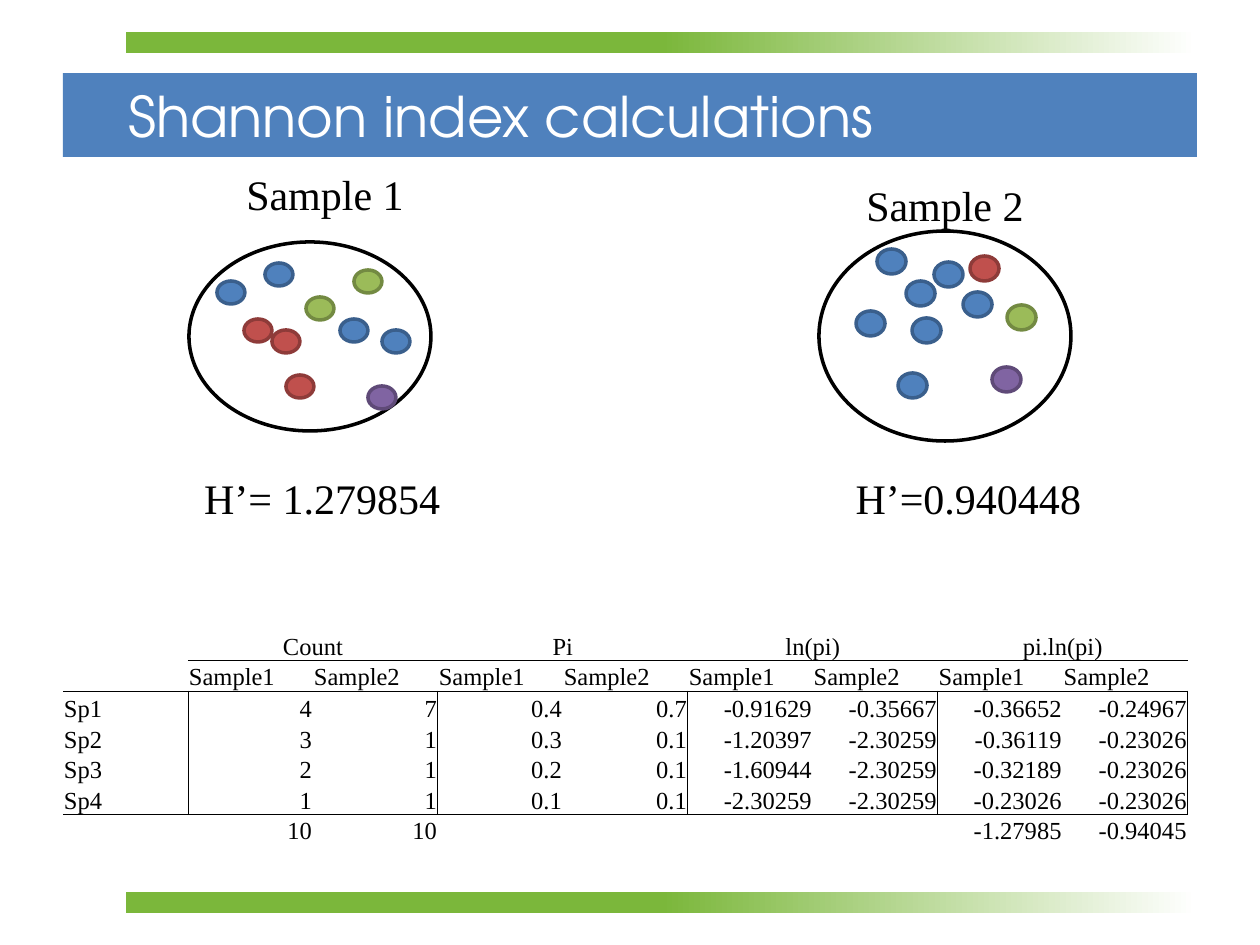
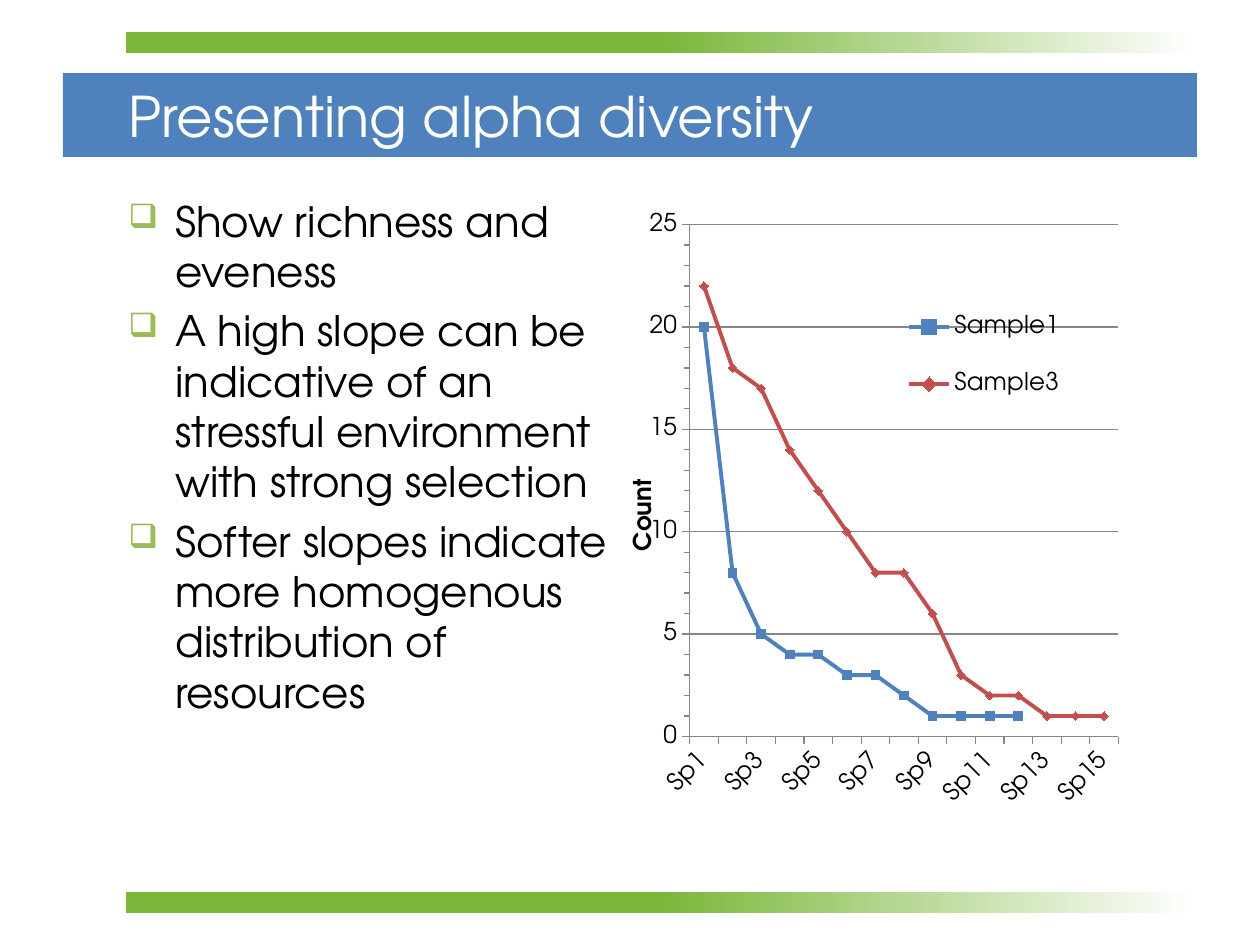
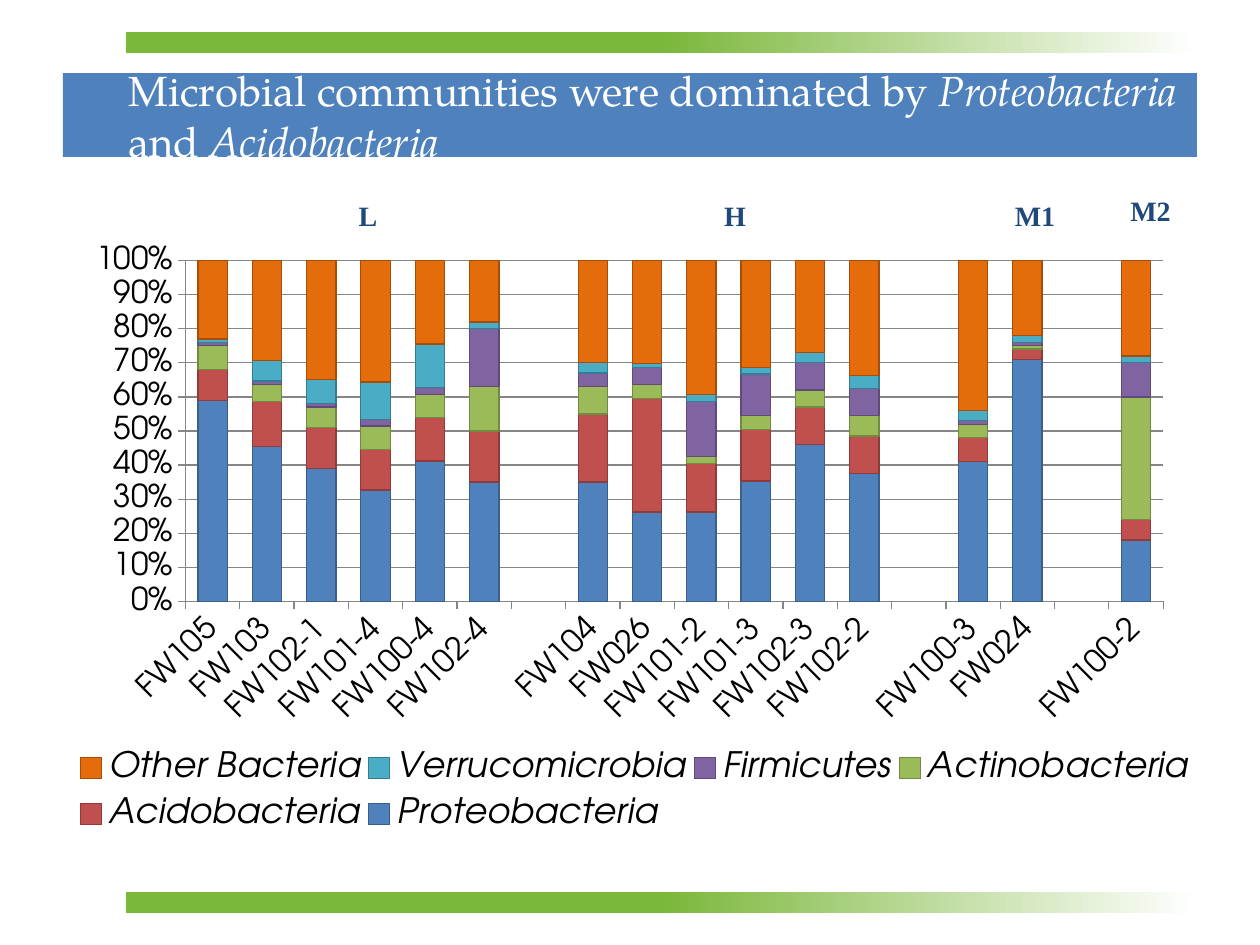
from lxml import etree
from pptx import Presentation
from pptx.chart.data import CategoryChartData
from pptx.dml.color import RGBColor
from pptx.enum.chart import (XL_CHART_TYPE as CHART, XL_LEGEND_POSITION as LEGEND,
                             XL_MARKER_STYLE as MARKER, XL_TICK_MARK as TICK)
from pptx.enum.shapes import MSO_SHAPE as SHAPE
from pptx.enum.text import MSO_ANCHOR as ANCHOR, PP_ALIGN as ALIGN
from pptx.oxml import parse_xml
from pptx.oxml.ns import nsdecls, qn
from pptx.util import Emu, Pt

PX = 914400 / 126
SANS, PALLADIAN, SERIF = "TeX Gyre Adventor", "TeX Gyre Pagella", "Times New Roman"
BLACK, WHITE, NAVY, GREEN, GRID = "000000", "FFFFFF", "1F497D", "7BB73B", "868686"
# fill and outline of each species or group
BLUE, RED = ("4F81BD", "3A5F8C"), ("C0504D", "8E3B39")
LIME, PURPLE = ("9BBB59", "738A42"), ("8064A2", "5F4A78")
TEAL, ORANGE = ("4BACC6", "357D91"), ("E46C0A", "A64D09")

# Slide 1: bounds of each community, dot size, and dots by species
COMMUNITIES = [
    ((189, 242, 242, 189), (28, 23), [
        (BLUE, [(265, 263), (382, 330), (217, 281), (340, 319)]),
        (LIME, [(306, 297), (354, 270)]),
        (PURPLE, [(368, 386)]),
        (RED, [(286, 375), (244, 319), (272, 330)])]),
    ((819, 231, 252, 210), (29, 25), [
        (BLUE, [(877, 249), (963, 292), (912, 318), (898, 373),
                (856, 311), (906, 281), (934, 262)]),
        (PURPLE, [(992, 367)]),
        (LIME, [(1007, 305)]),
        (RED, [(970, 256)])]),
]
CAPTIONS = [
    ("H’= 1.279854", 189, 472, 252, ALIGN.RIGHT),
    ("H’=0.940448", 809, 472, 273, ALIGN.RIGHT),
    ("Sample 1", 199, 168, 252, ALIGN.CENTER),
    ("Sample 2", 819, 179, 252, ALIGN.CENTER),
]
INDEX_ROWS = [
    ["", "Count", "", "Pi", "", "ln(pi)", "", "pi.ln(pi)", ""],
    [""] + ["Sample1", "Sample2"] * 4,
    ["Sp1", "4", "7", "0.4", "0.7", "-0.91629", "-0.35667", "-0.36652", "-0.24967"],
    ["Sp2", "3", "1", "0.3", "0.1", "-1.20397", "-2.30259", "-0.36119", "-0.23026"],
    ["Sp3", "2", "1", "0.2", "0.1", "-1.60944", "-2.30259", "-0.32189", "-0.23026"],
    ["Sp4", "1", "1", "0.1", "0.1", "-2.30259", "-2.30259", "-0.23026", "-0.23026"],
    ["", "10", "10", "", "", "", "", "-1.27985", "-0.94045"],
]

# Slide 2
POINTS = [
    "Show richness and eveness",
    "A high slope can be indicative of an stressful environment with strong selection",
    "Softer slopes indicate more homogenous distribution of resources",
]
SPECIES = [f"Sp{n}" for n in range(1, 16)]
RANKS = [
    ("Sample1", BLUE, MARKER.SQUARE, [20, 8, 5, 4, 4, 3, 3, 2, 1, 1, 1, 1, None, None, None]),
    ("Sample3", RED, MARKER.DIAMOND, [22, 18, 17, 14, 12, 10, 8, 8, 6, 3, 2, 2, 1, 1, 1]),
]

# Slide 3: wells fall into sites, with an empty column between sites
SITES = [
    ("L", (347, 199, 42, 32)), ("H", (714, 199, 42, 32)),
    ("M1", (977, 199, 116, 32)), ("M2", (1103, 189, 95, 42)),
]
WELLS = ["FW105", "FW103", "FW102-1", "FW101-4", "FW100-4", "FW102-4", "",
         "FW104", "FW026", "FW101-2", "FW101-3", "FW102-3", "FW102-2", "",
         "FW100-3", "FW024", "", "FW100-2"]
PHYLA = [
    ("Proteobacteria", BLUE, [59, 45, 39, 33, 42, 35, None, 35, 26, 26, 35, 46, 38, None, 41, 71, None, 18]),
    ("Acidobacteria", RED, [9, 13, 12, 12, 13, 15, None, 20, 33, 14, 15, 11, 11, None, 7, 3, None, 6]),
    ("Actinobacteria", LIME, [7, 5, 6, 7, 7, 13, None, 8, 4, 2, 4, 5, 6, None, 4, 1, None, 36]),
    ("Firmicutes", PURPLE, [1, 1, 1, 2, 2, 17, None, 4, 5, 16, 12, 8, 8, None, 1, 1, None, 10]),
    ("Verrucomicrobia", TEAL, [1, 6, 7, 11, 13, 2, None, 3, 1, 2, 2, 3, 4, None, 3, 2, None, 2]),
    ("Other Bacteria", ORANGE, [23, 29, 35, 36, 25, 18, None, 30, 30, 39, 31, 27, 34, None, 44, 22, None, 28]),
]


def px(*lengths):
    return [Emu(round(n * PX)) for n in lengths]


def rgb(color):
    return RGBColor.from_string(color)


def set_font(font, size, name, color=BLACK, bold=False, italic=False):
    font.size, font.name, font.bold, font.italic = Pt(size), name, bold, italic
    font.color.rgb = rgb(color)


def add_filled(slide, kind, box, fill, line=None):
    sp = slide.shapes.add_shape(kind, *px(*box))
    sp.shadow.inherit = False
    sp.fill.solid()
    sp.fill.fore_color.rgb = rgb(fill)
    if line:
        sp.line.color.rgb = rgb(line)
        sp.line.width = Pt(2)
    else:
        sp.line.fill.background()
    return sp


def add_text_box(slide, box, anchor):
    tf = slide.shapes.add_textbox(*px(*box)).text_frame
    tf.word_wrap = True
    tf.vertical_anchor = anchor
    return tf


def add_frame(prs, title, size=32, font=SANS):
    """Add a slide with its bands and a title given as (text, italic) runs."""
    slide = prs.slides.add_slide(prs.slide_layouts[6])
    add_filled(slide, SHAPE.RECTANGLE, (63, 73, 1134, 84), BLUE[0])
    for top in (32, 892):
        band = add_filled(slide, SHAPE.RECTANGLE, (126, top, 1071, 21), GREEN)
        band.fill.gradient()
        band.fill.gradient_angle = 0
        for stop, (position, color) in zip(band.fill.gradient_stops, [(0.5, GREEN), (1, WHITE)]):
            stop.position = position
            stop.color.rgb = rgb(color)
    p = add_text_box(slide, (116, 73, 1081, 84), ANCHOR.MIDDLE).paragraphs[0]
    for text, italic in title:
        r = p.add_run()
        r.text = text
        set_font(r.font, size, font, WHITE, italic=italic)
    return slide


def add_plain_table(slide, left, top, col_width, heights, n_cols):
    width = col_width * n_cols
    table = slide.shapes.add_table(len(heights), n_cols,
                                   *px(left, top, width, sum(heights))).table
    table.first_row = table.horz_banding = False
    for column in table.columns:
        column.width = px(col_width)[0]
    for row, height in zip(table.rows, heights):
        row.height = px(height)[0]
    return table


def fill_cell(cell, text, size, align, edges=""):
    """Write a cell; edges holds the letters of the sides (L, R, T, B) that get a line."""
    cell.margin_left, cell.margin_right, cell.margin_top, cell.margin_bottom = px(1, 1, 1, 0)
    cell.vertical_anchor = ANCHOR.BOTTOM
    cell.fill.background()
    p = cell.text_frame.paragraphs[0]
    p.alignment = align
    if text:
        p.text = text
        set_font(p.runs[0].font, size, SERIF)
    else:
        p._p.get_or_add_endParaRPr().set("sz", str(size * 100))
    tc_pr = cell._tc.get_or_add_tcPr()
    for i, side in enumerate("LRTB"):
        paint = (f'<a:solidFill><a:srgbClr val="{BLACK}"/></a:solidFill>'
                 if side in edges else "<a:noFill/>")
        tc_pr.insert(i, parse_xml(f'<a:ln{side} {nsdecls("a")} w="6350">{paint}</a:ln{side}>'))


def add_index_table(slide):
    table = add_plain_table(slide, 63, 630, 125, [26, 26, 32, 26, 26, 26, 26], 9)

    def line_below(r, c):
        return r in (1, 5) or (r == 0 and c > 0)

    def line_right(r, c):
        return 2 <= r <= 5 and c in (0, 2, 4, 6, 8)

    for r, row in enumerate(INDEX_ROWS):
        for c, text in enumerate(row):
            edges = "".join(side for side, drawn in [
                ("L", line_right(r, c - 1)), ("R", line_right(r, c)),
                ("T", line_below(r - 1, c)), ("B", line_below(r, c))] if drawn)
            align = ALIGN.CENTER if r == 0 else ALIGN.LEFT if r == 1 or c == 0 else ALIGN.RIGHT
            fill_cell(table.cell(r, c), text, 14, align, edges)
    for c in range(1, 9, 2):
        table.cell(0, c).merge(table.cell(0, c + 1))


def place(element, index, **fractions):
    """Give a chart part a manual layout in fractions of the chart."""
    for old in element.findall(qn("c:layout")):
        element.remove(old)
    layout = parse_xml(f'<c:layout {nsdecls("c")}><c:manualLayout/></c:layout>')
    values = {"xMode": "edge", "yMode": "edge", **fractions}
    if index == 0:
        values = {"layoutTarget": "inner", **values}
    for name, value in values.items():
        etree.SubElement(layout[0], qn(f"c:{name}")).set("val", str(value))
    element.insert(index, layout)


def add_styled_chart(slide, kind, box, categories, series, size, plot_area, legend_area):
    data = CategoryChartData()
    data.categories = categories
    for name, *_, values in series:
        data.add_series(name, values)
    chart = slide.shapes.add_chart(kind, *px(*box), data).chart
    set_font(chart.font, size, SANS)
    chart.has_title = False
    chart.has_legend = True
    chart.legend.position = LEGEND.RIGHT
    chart.legend.include_in_layout = False
    chart.plots[0].vary_by_categories = False
    value_axis = chart.value_axis
    value_axis.has_major_gridlines = True
    for fmt in (value_axis.format, chart.category_axis.format, value_axis.major_gridlines.format):
        fmt.line.color.rgb = rgb(GRID)
        fmt.line.width = Pt(0.75)
    for axis in (value_axis, chart.category_axis):
        axis.major_tick_mark = TICK.OUTSIDE
        set_font(axis.tick_labels.font, size, SANS)
    chart.category_axis._element.find(qn("c:txPr")).find(qn("a:bodyPr")).set("rot", "-2700000")
    place(chart._chartSpace.chart.plotArea, 0, **plot_area)
    place(chart.legend._element, 1, **legend_area)
    return chart


def build_shannon(prs):
    slide = add_frame(prs, [("Shannon index calculations", False)])
    for box, dot_size, species in COMMUNITIES:
        add_filled(slide, SHAPE.OVAL, box, WHITE, BLACK)
        for (fill, line), dots in species:
            for dot in dots:
                add_filled(slide, SHAPE.OVAL, dot + dot_size, fill, line)
    for text, left, top, width, align in CAPTIONS:
        fill_cell(add_plain_table(slide, left, top, width, [48], 1).cell(0, 0), text, 24, align)
    add_index_table(slide)


def build_alpha_diversity(prs):
    slide = add_frame(prs, [("Presenting alpha diversity", False)])
    tf = add_text_box(slide, (116, 189, 514, 655), ANCHOR.TOP)
    tf.text = "\n".join(POINTS)
    for p in tf.paragraphs:
        set_font(p.runs[0].font, 24, SANS)
        p.space_before = Pt(5)
        p_pr = p._p.get_or_add_pPr()
        indent = px(47)[0]
        p_pr.set("marL", str(indent))
        p_pr.set("indent", str(-indent))
        for bullet in (f'<a:buClr {nsdecls("a")}><a:srgbClr val="{LIME[0]}"/></a:buClr>',
                       f'<a:buSzPct {nsdecls("a")} val="80000"/>',
                       f'<a:buChar {nsdecls("a")} char="❑"/>'):
            p_pr.append(parse_xml(bullet))

    chart = add_styled_chart(slide, CHART.LINE_MARKERS, (620, 199, 536, 640), SPECIES, RANKS, 14,
                             dict(x=0.13, y=0.04, w=0.8, h=0.8),
                             dict(x=0.52, y=0.13, w=0.32, h=0.23))
    axis = chart.value_axis
    axis.minimum_scale, axis.maximum_scale, axis.major_unit, axis.minor_unit = 0, 25, 5, 1
    axis.minor_tick_mark = TICK.OUTSIDE
    title = axis.axis_title
    title.text_frame.text = "Count"
    set_font(title.text_frame.paragraphs[0].runs[0].font, 14, SANS, bold=True)
    place(title._element, 1, x=0.01, y=0.43)
    for series, (_, (color, _), style, _) in zip(chart.series, RANKS):
        series.smooth = False
        series.format.line.color.rgb = rgb(color)
        series.format.line.width = Pt(2.25)
        series.marker.style, series.marker.size = style, 5
        series.marker.format.fill.solid()
        series.marker.format.fill.fore_color.rgb = rgb(color)
        series.marker.format.line.color.rgb = rgb(color)


def build_communities(prs):
    slide = add_frame(prs, [("Microbial communities were dominated by ", False),
                            ("Proteobacteria ", True), ("and ", False),
                            ("Acidobacteria", True)], 24, PALLADIAN)
    chart = add_styled_chart(slide, CHART.COLUMN_STACKED_100, (73, 242, 1124, 620), WELLS, PHYLA, 18,
                             dict(x=0.1, y=0.03, w=0.87, h=0.55),
                             dict(x=0, y=0.8, w=1, h=0.17))
    set_font(chart.legend.font, 20, SANS, italic=True)
    chart.plots[0].gap_width, chart.plots[0].overlap = 85, 100
    labels = chart.value_axis.tick_labels
    labels.number_format, labels.number_format_is_linked = "0%", False
    for series, (_, (fill, line), _) in zip(chart.series, PHYLA):
        series.format.fill.solid()
        series.format.fill.fore_color.rgb = rgb(fill)
        series.format.line.color.rgb = rgb(line)
        series.format.line.width = Pt(0.75)
    for site, box in SITES:
        tf = add_text_box(slide, box, ANCHOR.MIDDLE)
        tf.margin_left = tf.margin_right = 0
        p = tf.paragraphs[0]
        p.text = site
        p.alignment = ALIGN.CENTER
        set_font(p.runs[0].font, 16, SERIF, NAVY, bold=True)


def main():
    prs = Presentation()
    prs.slide_width, prs.slide_height = px(1260, 945)
    build_shannon(prs)
    build_alpha_diversity(prs)
    build_communities(prs)
    prs.save("out.pptx")


if __name__ == "__main__":
    main()
